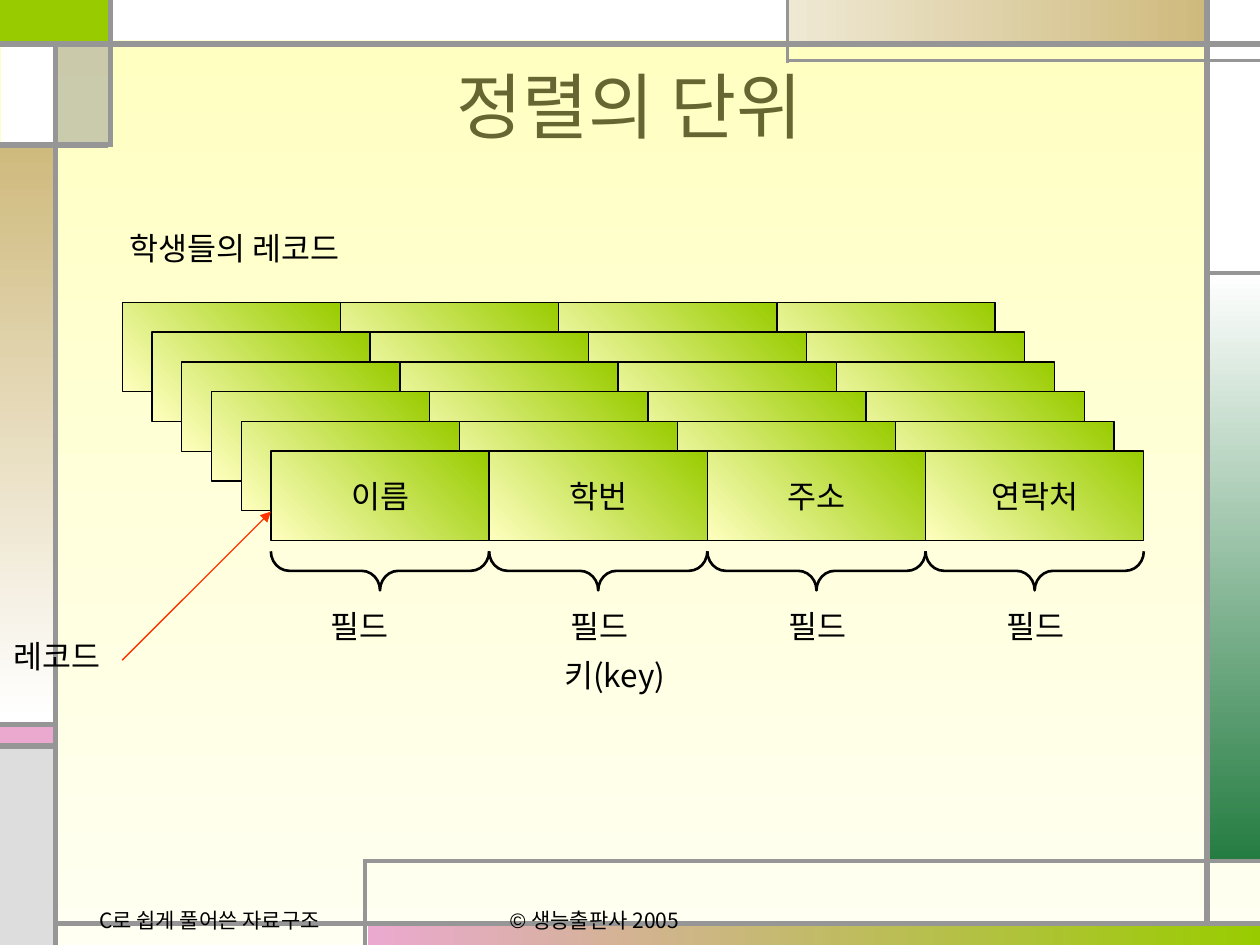
from dataclasses import dataclass

from lxml import etree
from pptx import Presentation
from pptx.dml.color import RGBColor
from pptx.enum.shapes import MSO_CONNECTOR, MSO_SHAPE
from pptx.enum.text import MSO_ANCHOR, PP_ALIGN
from pptx.oxml.ns import qn
from pptx.util import Inches, Pt

RECT, BRACE = MSO_SHAPE.RECTANGLE, MSO_SHAPE.LEFT_BRACE
STRAIGHT = MSO_CONNECTOR.STRAIGHT
CENTER, MIDDLE = PP_ALIGN.CENTER, MSO_ANCHOR.MIDDLE
RIGHTWARD, DOWNWARD, UP_RIGHT = 0, 270, 45  # counter-clockwise degrees


@dataclass(frozen=True)
class Theme:
    font: str = "Noto Sans CJK KR"
    symbol_font: str = "Arial"
    title_size: float = 41
    label_size: float = 18
    footer_size: float = 12
    ink: str = "000000"
    title: str = "666633"
    arrow: str = "FF3300"
    frame: str = "969696"
    cream: str = "FFFFBF"
    ivory: str = "FFFFF2"
    lime: str = "99CC00"
    pink: str = "EBA9D0"
    sand: str = "CFBA7D"
    pale_sand: str = "EFE8D3"
    forest: str = "247C41"
    silver: str = "DDDDDD"
    white: str = "FFFFFF"


T = Theme()
W, H = 10, 7.5
CELL_W, CELL_H = 1.732, 0.71
FRONT_X, FRONT_Y = 2.15, 3.58
STEP = 0.236  # offset between stacked records, both ways
RECORDS = 6
FIELDS = ["이름", "학번", "주소", "연락처"]

PANELS = [  # left, top, width, height, colours, gradient direction
    (0, 0, 0.87, 0.34, [T.lime], None),
    (2.92, 7.33, 7.08, 0.17, [T.pink, T.lime], RIGHTWARD),
    (9.58, 2.17, 0.42, 4.67, [T.white, T.forest], DOWNWARD),
    (0, 5.75, 0.42, 0.17, [T.pink], None),
    (0, 5.93, 0.42, 1.57, [T.silver], None),
    (9.58, 0, 0.42, 2.17, [T.white], None),
    (6.25, 0, 3.33, 0.33, [T.pale_sand, T.sand], RIGHTWARD),
    (0, 1.15, 0.42, 4.58, [T.sand, T.white], DOWNWARD),
    (0.01, 0.33, 0.42, 0.82, [T.white], None),
    (0.86, 0, 5.39, 0.32, [T.white], None),
]
THICK_BARS = [  # x1, y1, x2, y2
    (0.44, H, 0.44, 0.33), (0.44, 7.33, W, 7.33), (9.58, 7.33, 9.58, 0),
    (0, 0.35, W, 0.35), (0.88, 0, 0.88, 1.17), (0.86, 1.15, 0, 1.15),
    (0.46, 5.75, 0, 5.75), (0.46, 5.92, 0, 5.92),
]
THIN_BARS = [
    (W, 0.48, 6.25, 0.48), (6.25, 0.5, 6.25, 0), (9.58, 2.17, W, 2.17),
    (2.9, H, 2.9, 6.82), (2.89, 6.83, W, 6.83),
]


def rgb(color):
    return RGBColor.from_string(color)


def paint(fill, colors, angle=None):
    """Fill with one solid colour, or with a gradient between two."""
    if len(colors) == 1:
        fill.solid()
        fill.fore_color.rgb = rgb(colors[0])
        return
    fill.gradient()
    fill.gradient_angle = angle
    for stop, color, position in zip(fill.gradient_stops, colors, (0, 1)):
        stop.color.rgb = rgb(color)
        stop.position = position


def style_run(r, size, color=T.ink, font=T.font):
    r.font.size, r.font.name = Pt(size), font
    r.font.color.rgb = rgb(color)
    etree.SubElement(r.font._element, qn("a:ea"), typeface=font)


def add_panel(s, x, y, w, h, colors, angle=None):
    sp = s.shapes.add_shape(RECT, Inches(x), Inches(y), Inches(w), Inches(h))
    sp.shadow.inherit = False
    paint(sp.fill, colors, angle)
    sp.line.fill.background()
    return sp


def add_line(s, x1, y1, x2, y2, color, width, arrow=False):
    line = s.shapes.add_connector(STRAIGHT, Inches(x1), Inches(y1), Inches(x2), Inches(y2))
    line.line.color.rgb = rgb(color)
    line.line.width = Pt(width)
    if arrow:
        etree.SubElement(line.line._get_or_add_ln(), qn("a:tailEnd"), type="triangle")
    etree.SubElement(line._element.spPr, qn("a:effectLst"))


def add_label(s, x, y, w, h, text, size=T.label_size):
    tf = s.shapes.add_textbox(Inches(x), Inches(y), Inches(w), Inches(h)).text_frame
    tf.word_wrap = False
    p = tf.paragraphs[0]
    p.text = text
    style_run(p.runs[0], size)
    return p


def add_cell(s, x, y, text=""):
    sp = add_panel(s, x, y, CELL_W, CELL_H, [T.cream, T.lime], UP_RIGHT)
    sp.line.color.rgb = rgb(T.ink)
    sp.line.width = Pt(0.75)
    if text:
        tf = sp.text_frame
        tf.word_wrap, tf.vertical_anchor = False, MIDDLE
        p = tf.paragraphs[0]
        p.text, p.alignment = text, CENTER
        style_run(p.runs[0], T.label_size)


def add_brace(s, center_x, center_y, span, depth):
    """Draw a brace that opens upwards, as a left brace turned on its side."""
    sp = s.shapes.add_shape(BRACE, Inches(center_x - depth / 2), Inches(center_y - span / 2),
                            Inches(depth), Inches(span))
    sp.rotation = 270
    sp.adjustments[0] = 0.47
    sp.shadow.inherit = False
    sp.fill.background()
    sp.line.color.rgb = rgb(T.ink)
    sp.line.width = Pt(1.5)


def add_decoration(s):
    paint(s.background.fill, [T.cream, T.ivory], DOWNWARD)
    for panel in PANELS:
        add_panel(s, *panel)
    veil = add_panel(s, 0.46, 0.33, 0.42, 0.82, [T.frame])
    color = veil._element.spPr.find(qn("a:solidFill"))[0]
    etree.SubElement(color, qn("a:alpha"), val="50000")
    for bars, width in ((THICK_BARS, 3), (THIN_BARS, 2.25)):
        for bar in bars:
            add_line(s, *bar, T.frame, width)


def add_footer(s):
    add_label(s, 0.69, 7.15, 2.1, 0.3, "C로 쉽게 풀어쓴 자료구조", T.footer_size)
    p = add_label(s, 3.95, 7.15, 1.67, 0.3, "© ", T.footer_size)
    p.runs[0].font.name = T.symbol_font
    r = p.add_run()
    r.text = "생능출판사 2005"
    style_run(r, T.footer_size)


def set_title(s, text):
    title = s.shapes.title
    title.left, title.top, title.width, title.height = map(Inches, (0.5, 0.21, 9, 1.25))
    tf = title.text_frame
    tf.text, tf.vertical_anchor = text, MIDDLE
    p = tf.paragraphs[0]
    p.alignment = CENTER
    style_run(p.runs[0], T.title_size, T.title)
    s.shapes._spTree.append(title._element)  # in front of the decoration


def add_records(s):
    for depth in reversed(range(RECORDS)):
        for col, field in enumerate(FIELDS):
            add_cell(s, FRONT_X + col * CELL_W - depth * STEP, FRONT_Y - depth * STEP,
                     "" if depth else field)


def add_field_marks(s):
    for col in range(len(FIELDS)):
        center = FRONT_X + (col + 0.5) * CELL_W
        add_brace(s, center, 4.53, CELL_W, 0.31)
        add_label(s, center - (0.32 if col else 0.49), 4.77, 0.68, 0.4, "필드")


def main():
    prs = Presentation()
    prs.slide_width, prs.slide_height = Inches(W), Inches(H)
    s = prs.slides.add_slide(prs.slide_layouts[5])
    add_decoration(s)
    add_footer(s)
    set_title(s, "정렬의 단위")
    add_records(s)
    add_label(s, 0.93, 1.77, 2.04, 0.4, "학생들의 레코드")
    add_field_marks(s)
    add_label(s, 4.38, 5.16, 1.09, 0.4, "키(key)")
    add_label(s, 0.01, 5.01, 0.92, 0.4, "레코드")
    add_line(s, 0.97, 5.24, FRONT_X, 4.06, T.arrow, 0.75, arrow=True)
    prs.save("out.pptx")


if __name__ == "__main__":
    main()
